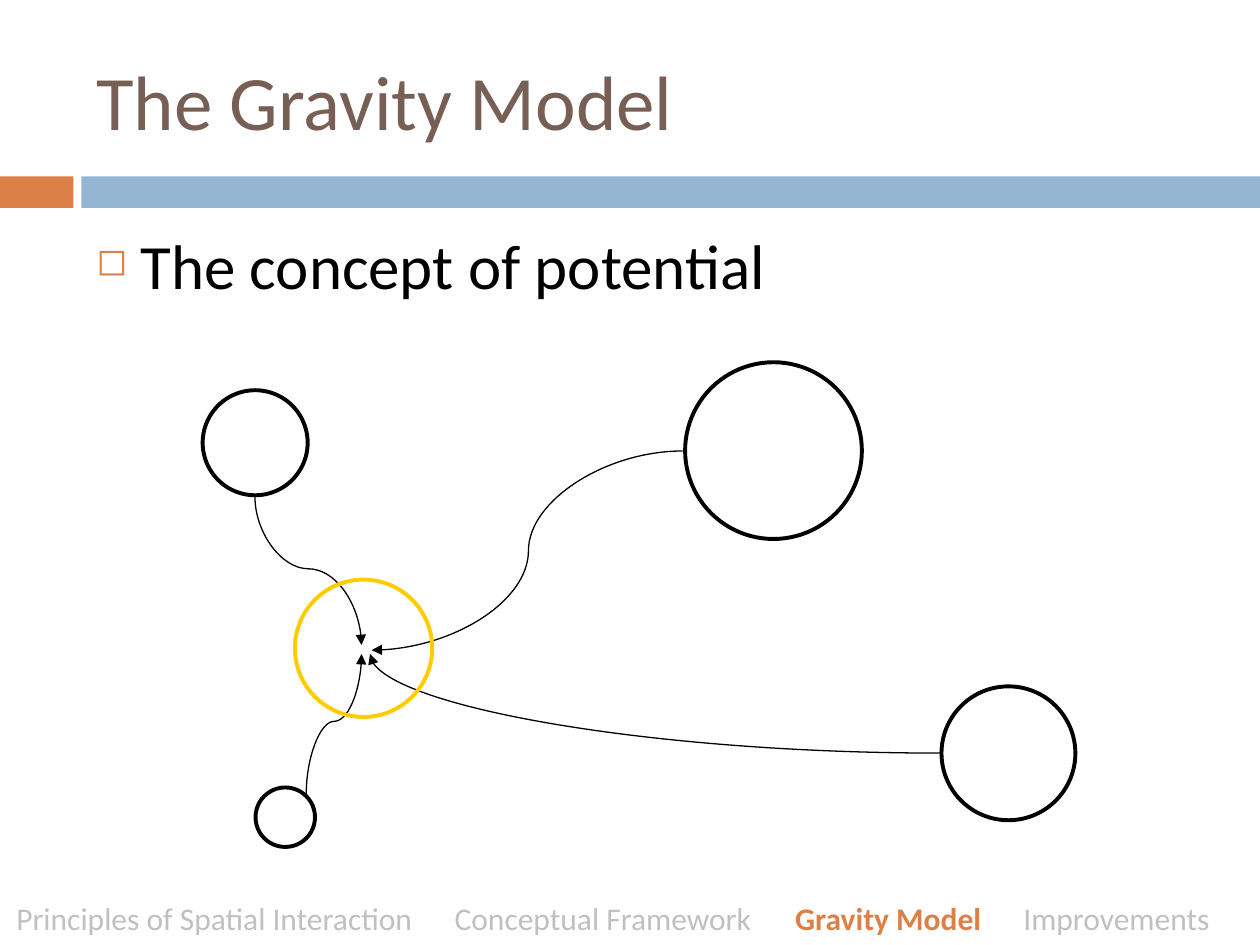
import pptx
import pptx.dml.color
import pptx.enum.shapes
import pptx.enum.text
import pptx.oxml
import pptx.oxml.ns
import pptx.util

Pt = pptx.util.Pt
SHAPES = pptx.enum.shapes.MSO_SHAPE
ANCHOR = pptx.enum.text.MSO_ANCHOR
NAMESPACE = pptx.oxml.ns.nsdecls("a")

BLACK, ORANGE, BLUE = "000000", "DD8047", "94B6D2"
BROWN, GOLD, GREY = "775F55", "FFCC00", "C0C0C0"


def color(hex_code):
    return pptx.dml.color.RGBColor.from_string(hex_code)


def xml(markup):
    tag, rest = markup[1:].split(" ", 1)
    return pptx.oxml.parse_xml(f"<{tag} {NAMESPACE} {rest}")


def apply_format(target, values):
    for name, value in values.items():
        setattr(target, name, value)


def add_band(slide, left, width, fill):
    band = slide.shapes.add_shape(
        SHAPES.RECTANGLE, Pt(left), Pt(100.8), Pt(width), Pt(18))
    band.shadow.inherit = False
    band.fill.solid()
    band.fill.fore_color.rgb = color(fill)
    band.line.fill.background()


def add_place(slide, left, top, diameter, outline=BLACK):
    place = slide.shapes.add_shape(
        SHAPES.OVAL, Pt(left), Pt(top), Pt(diameter), Pt(diameter))
    place.shadow.inherit = False
    place.fill.background()
    place.line.color.rgb = color(outline)
    place.line.width = Pt(2.25)


def add_flow(slide, start, end, bend=None, upright=False):
    (x1, y1), (x2, y2) = start, end
    if upright:
        middle_x, middle_y = (x1 + x2) / 2, (y1 + y2) / 2
        half_run, half_rise = (y1 - y2) / 2, (x2 - x1) / 2
        x1, x2 = middle_x - half_run, middle_x + half_run
        y1, y2 = middle_y - half_rise, middle_y + half_rise
    flow = slide.shapes.add_connector(
        pptx.enum.shapes.MSO_CONNECTOR.CURVE, Pt(x1), Pt(y1), Pt(x2), Pt(y2))
    flow.line.color.rgb = color(BLACK)
    flow.line.width = Pt(0.75)
    flow.line._get_or_add_ln().append(xml('<a:tailEnd type="triangle"/>'))
    properties = flow._element.spPr
    properties.append(xml("<a:effectLst />"))
    if upright:
        properties.xfrm.set("rot", str(270 * 60000))
    geometry = properties.find(pptx.oxml.ns.qn("a:prstGeom"))
    if bend is None:
        geometry.set("prst", "curvedConnector2")
    else:
        guides = geometry.find(pptx.oxml.ns.qn("a:avLst"))
        guides.append(xml(
            f'<a:gd name="adj1" fmla="val {round(bend * 100000)}"/>'))


def add_text(slide, box, runs, size, anchor=ANCHOR.TOP):
    frame = slide.shapes.add_textbox(*map(Pt, box)).text_frame
    apply_format(frame, {"word_wrap": True, "vertical_anchor": anchor})
    paragraph = frame.paragraphs[0]
    for words, hue, bold in runs:
        run = paragraph.add_run()
        run.text = words
        apply_format(run.font, {"name": "Calibri", "size": Pt(size), "bold": bold})
        run.font.color.rgb = color(hue)
    return paragraph


def add_bullet(paragraph, indent):
    paragraph.space_before = Pt(7)
    settings = paragraph._p.get_or_add_pPr()
    settings.set("marL", str(Pt(indent)))
    settings.set("indent", str(-Pt(indent)))
    for markup in (
        f'<a:buClr ><a:srgbClr val="{ORANGE}"/></a:buClr>',
        '<a:buSzPct val="60000"/>',
        '<a:buChar char="◻"/>',
    ):
        settings.append(xml(markup))


def add_tab_stops(paragraph, stops):
    tabs = "".join(f'<a:tab pos="{Pt(stop)}" algn="l"/>' for stop in stops)
    paragraph._p.get_or_add_pPr().append(xml(f"<a:tabLst >{tabs}</a:tabLst>"))


def main():
    deck = pptx.Presentation()
    apply_format(deck, {"slide_width": Pt(720), "slide_height": Pt(540)})
    slide = deck.slides.add_slide(deck.slide_layouts[6])

    add_band(slide, 0, 42, ORANGE)
    add_band(slide, 46.5, 673.5, BLUE)
    add_text(slide, (48, 18, 642, 78), [("The Gravity Model", BROWN, False)],
             44, ANCHOR.MIDDLE)
    concept = add_text(slide, (48, 126, 642, 354),
                       [("The concept of potential", BLACK, False)], 36)
    add_bullet(concept, 25.2)

    for left, top, diameter in (
        (391.5, 207, 101),
        (146, 450, 34),
        (538, 392.2, 76.5),
        (115.8, 223, 60),
    ):
        add_place(slide, left, top, diameter)

    add_flow(slide, (175, 453.6), (206.6, 373.7), 0.518, upright=True)
    add_flow(slide, (537.1, 430.4), (211.5, 373.7))
    add_flow(slide, (145.7, 283.7), (206.6, 368.6), 0.487, upright=True)
    add_flow(slide, (390.2, 257.7), (212.4, 371.5), 0.496)
    add_place(slide, 168.5, 331.2, 78.5, GOLD)

    sections = add_text(slide, (2.2, 510, 716.4, 28.8), [
        ("Principles of Spatial Interaction\tConceptual Framework\t", GREY, False),
        ("Gravity Model\t", ORANGE, True),
        ("Improvements", GREY, False),
    ], 18)
    add_tab_stops(sections, (250.5, 445, 575.5))

    deck.save("out.pptx")


if __name__ == "__main__":
    main()
